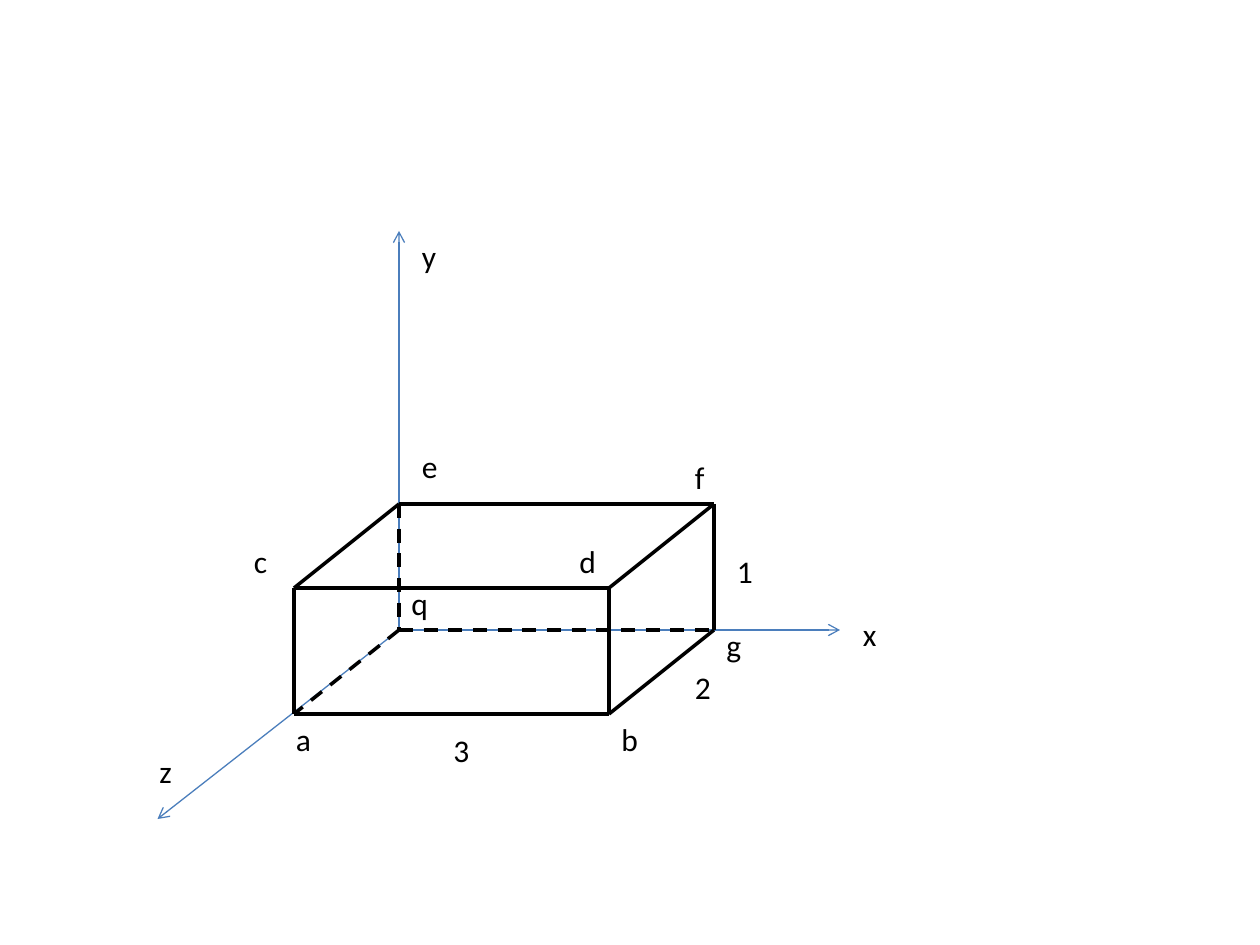
from lxml import etree
from pptx import Presentation
from pptx.dml.color import RGBColor
from pptx.enum.dml import MSO_LINE
from pptx.enum.shapes import MSO_CONNECTOR
from pptx.enum.text import MSO_AUTO_SIZE
from pptx.oxml.ns import qn
from pptx.util import Inches, Pt

STRAIGHT = MSO_CONNECTOR.STRAIGHT
DASH = MSO_LINE.DASH
GROW = MSO_AUTO_SIZE.SHAPE_TO_FIT_TEXT

COLS, ROWS = 120, 90
AXIS, INK = "4B7EBC", "000000"
LABEL_ROWS = 4.8

VERTICES = {
    "q": (38, 60), "g": (68, 60), "a": (28, 68), "b": (58, 68),
    "e": (38, 48), "f": (68, 48), "c": (28, 56), "d": (58, 56),
}
AXIS_ENDS = [(38, 22), (80, 60), (15, 78)]
EDGES = ["ab", "qg", "qa", "gb", "cd", "ef", "ec", "fd", "ca", "eq", "fg", "db"]
LABELS = [
    ("1", 69, 52, 4), ("2", 65, 63, 4), ("3", 42, 69, 4),
    ("x", 81, 58, 3.7), ("y", 39, 22, 3.8), ("z", 14, 71, 3.6),
    ("e", 39, 42, 4), ("f", 65, 43, 3.4), ("g", 68, 59, 4),
    ("b", 58, 68, 4.1), ("a", 27, 68, 4), ("d", 54, 51, 4.1),
    ("c", 23, 51, 3.7), ("q", 38, 55, 4.1),
]


def color(value):
    return RGBColor.from_string(value)


class Diagram:
    font = {"name": "Calibri", "size": Pt(18)}

    def __init__(self, prs):
        self.col = prs.slide_width / COLS
        self.row = prs.slide_height / ROWS
        self.s = prs.slides.add_slide(prs.slide_layouts[6])
        self.shapes = self.s.shapes.add_group_shape().shapes

    def place(self, x, y):
        return round(x * self.col), round(y * self.row)

    def line(self, start, end, ink, width, dash=None):
        sp = self.shapes.add_connector(STRAIGHT, *self.place(*start), *self.place(*end))
        sp.line.color.rgb = color(ink)
        sp.line.width = Pt(width)
        if dash:
            sp.line.dash_style = dash
        etree.SubElement(sp._element.spPr, qn("a:effectLst"))
        return sp

    def axis(self, start, end):
        sp = self.line(start, end, AXIS, 0.75)
        ln = sp._element.spPr.find(qn("a:ln"))
        etree.SubElement(ln, qn("a:tailEnd"), type="arrow")

    def label(self, text, x, y, width):
        sp = self.shapes.add_textbox(*self.place(x, y), *self.place(width, LABEL_ROWS))
        tf = sp.text_frame
        tf.word_wrap = False
        tf.auto_size = GROW
        r = tf.paragraphs[0].add_run()
        r.text = text
        for key, value in self.font.items():
            setattr(r.font, key, value)
        r.font.color.rgb = color(INK)


def main():
    prs = Presentation()
    prs.slide_width, prs.slide_height = Inches(10), Inches(7.5)
    diagram = Diagram(prs)
    for end in AXIS_ENDS:
        diagram.axis(VERTICES["q"], end)
    for edge in EDGES:
        start, end = (VERTICES[name] for name in edge)
        diagram.line(start, end, INK, 2, DASH if "q" in edge else None)
    for label in LABELS:
        diagram.label(*label)
    prs.save("out.pptx")


if __name__ == "__main__":
    main()
